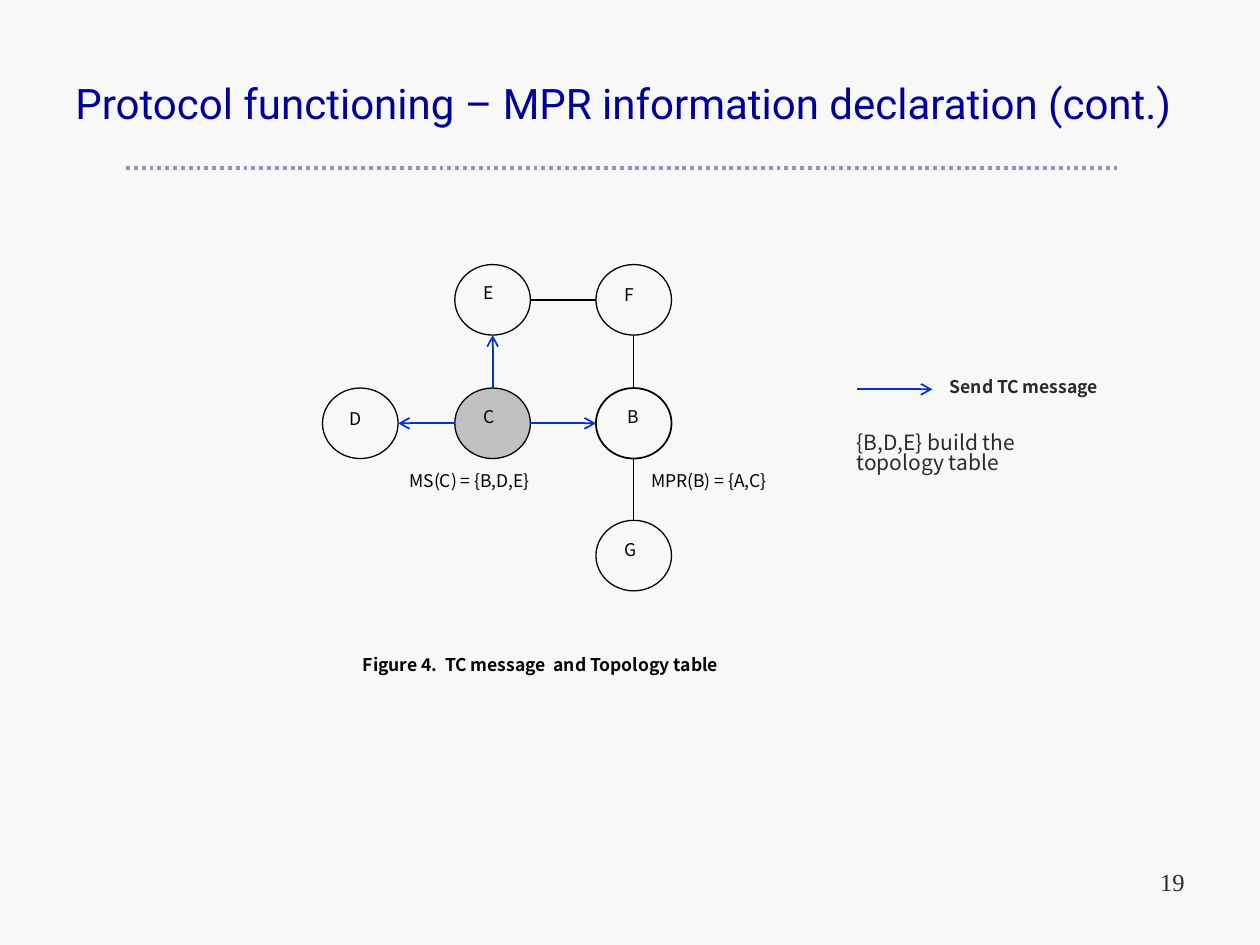
from lxml import etree
from pptx import Presentation
from pptx.dml.color import RGBColor
from pptx.enum.dml import MSO_LINE
from pptx.enum.shapes import MSO_CONNECTOR, MSO_SHAPE
from pptx.enum.text import MSO_ANCHOR, PP_ALIGN
from pptx.oxml.ns import qn
from pptx.util import Inches, Pt

SANS = "Noto Sans CJK KR"
BLACK, BLUE, DARK = "000000", "0033CC", "292929"
color = RGBColor.from_string

prs = Presentation()
prs.slide_width, prs.slide_height = Inches(10), Inches(7.5)
slide = prs.slides.add_slide(prs.slide_layouts[6])
slide.background.fill.solid()
slide.background.fill.fore_color.rgb = color("F8F8F8")


def add_text(text, left, top, width, height, size=10, tint=BLACK, bold=False,
             font=SANS, align=PP_ALIGN.JUSTIFY, inset=0.09, spacing=0.83):
    box = slide.shapes.add_textbox(*map(Inches, (left, top, width, height)))
    frame = box.text_frame
    frame.word_wrap = True
    frame.margin_left = frame.margin_right = Inches(inset)
    frame.text = text
    para = frame.paragraphs[0]
    para.alignment, para.line_spacing = align, spacing
    style = para.runs[0].font
    style.name, style.size, style.bold = font, Pt(size), bold
    style.color.rgb = color(tint)
    return frame


def add_line(x1, y1, x2, y2, tint=BLACK, width=0.75, arrow=False):
    line = slide.shapes.add_connector(
        MSO_CONNECTOR.STRAIGHT, *map(Inches, (x1, y1, x2, y2)))
    line.line.color.rgb = color(tint)
    line.line.width = Pt(width)
    if arrow:
        etree.SubElement(line.line._get_or_add_ln(), qn("a:tailEnd"), type="arrow")
    etree.SubElement(line._element.spPr, qn("a:effectLst"))
    return line


# Title and rule
rule = add_line(1, 1.33, 8.88, 1.33, "8D92C3", 2.25)
rule.line.dash_style = MSO_LINE.ROUND_DOT
title = add_text("Protocol functioning – MPR information declaration (cont.)",
                 0.5, 0.3, 9, 1.03, 24, "000099", font="Roboto",
                 align=PP_ALIGN.LEFT, inset=0.1, spacing=1)
title.vertical_anchor = MSO_ANCHOR.MIDDLE

# Nodes: name, left, top, label left, label top
wide, high = 0.6, 0.56
nodes = [
    ("E", 3.61, 2.1, 3.75, 2.22),
    ("F", 4.73, 2.1, 4.87, 2.23),
    ("C", 3.61, 3.08, 3.75, 3.2),
    ("B", 4.73, 3.08, 4.89, 3.2),
    ("D", 2.56, 3.08, 2.68, 3.22),
    ("G", 4.73, 4.13, 4.87, 4.26),
]
spots = {}
for name, left, top, label_x, label_y in nodes:
    node = slide.shapes.add_shape(
        MSO_SHAPE.OVAL, *map(Inches, (left, top, wide, high)))
    node.shadow.inherit = False
    if name == "C":
        node.fill.solid()
        node.fill.fore_color.rgb = color("C0C0C0")
    else:
        node.fill.background()
    node.line.color.rgb = color(BLACK)
    node.line.width = Pt(1 if name == "B" else 0.75)
    add_text(name, label_x, label_y, 0.52, 0.3)
    spots[name] = left + wide / 2, top + high / 2

# Links run from rim to rim; TC messages leave node C
for start, end in ("CD", "CB", "CE", "EF", "FB", "BG"):
    (x1, y1), (x2, y2) = spots[start], spots[end]
    dx = wide / 2 * ((x2 > x1) - (x2 < x1))
    dy = high / 2 * ((y2 > y1) - (y2 < y1))
    sent = start == "C"
    add_line(x1 + dx, y1 + dy, x2 - dx, y2 - dy,
             BLUE if sent else BLACK, 1 if sent else 0.75, sent)

add_text("MS(C) = {B,D,E}", 3.16, 3.71, 2.91, 0.3)
add_text("MPR(B) = {A,C}", 5.08, 3.71, 1.73, 0.3)
add_text("Figure 4.  TC message  and Topology table", 2.79, 5.17, 3, 0.25, bold=True)

# Legend
add_line(6.8, 3.09, 7.4, 3.09, BLUE, 1, True)
add_text("Send TC message", 7.44, 2.96, 1.58, 0.27, tint=DARK, bold=True,
         align=PP_ALIGN.LEFT, inset=0.1)
add_text("{B,D,E} build the topology table", 6.7, 3.39, 1.97, 0.5, 12, DARK,
         align=PP_ALIGN.LEFT, inset=0.1)

# Page number
add_text("19", 7.17, 6.83, 2.33, 0.52, 14, DARK, font="Times New Roman",
         align=PP_ALIGN.RIGHT, inset=0.1, spacing=1)

prs.save("out.pptx")
